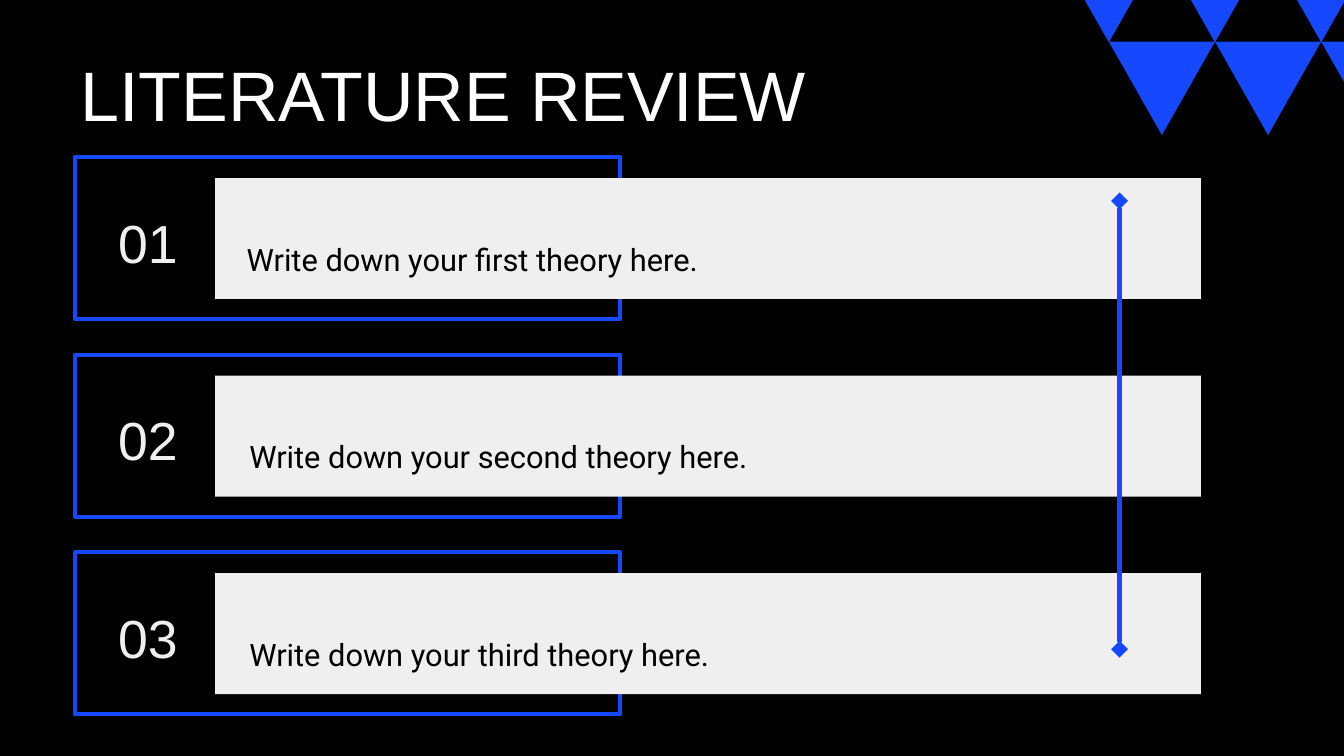
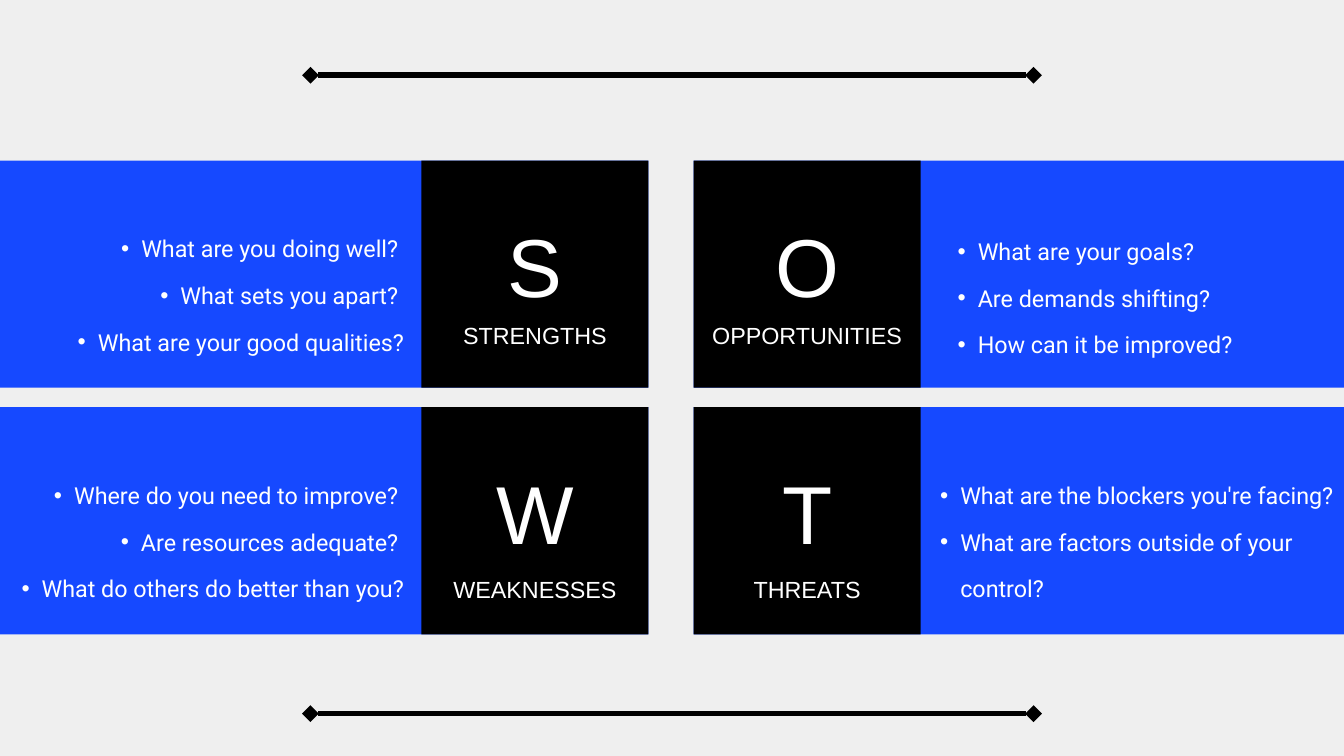
from dataclasses import dataclass
from itertools import product

from lxml.etree import SubElement
from pptx import Presentation
from pptx.dml.color import RGBColor
from pptx.enum.shapes import MSO_CONNECTOR, MSO_SHAPE
from pptx.enum.text import MSO_AUTO_SIZE, PP_ALIGN as Align
from pptx.oxml.ns import qn
from pptx.util import Inches, Pt


@dataclass(frozen=True)
class Theme:
    black: str = "000000"
    white: str = "FFFFFF"
    blue: str = "1649FF"
    pale: str = "EFEFEF"
    display: str = "Arial"
    text: str = "Roboto"
    title: float = 75
    number: float = 57.4
    theory: float = 33
    letter: float = 88
    small: float = 25
    frame: float = 4.5
    rule: float = 6


@dataclass(frozen=True)
class Theory:
    number: str
    text: str
    left: float


@dataclass(frozen=True)
class Quadrant:
    letter: str
    label: str
    questions: tuple[str, ...]
    column: int
    row: int
    label_drop: float
    text_left: float
    text_width: float
    text_drop: float = 0.82


T = Theme()
THEORIES = (
    Theory("01", "Write down your first theory here.", 3.67),
    Theory("02", "Write down your second theory here.", 3.71),
    Theory("03", "Write down your third theory here.", 3.71),
)
QUADRANTS = (
    Quadrant("S", "STRENGTHS",
             ("What are you doing well? ", "What sets you apart? ",
              "What are your good qualities?"), 0, 0, 2.27, 0, 6.01),
    Quadrant("W", "WEAKNESSES",
             ("Where do you need to improve? ", "Are resources adequate? ",
              "What do others do better than you?"), 0, 1, 2.37, -0.14, 6.15),
    Quadrant("O", "OPPORTUNITIES",
             ("What are your goals?", "Are demands shifting?",
              "How can it be improved?"), 1, 0, 2.27, 13.96, 5.48, 0.86),
    Quadrant("T", "THREATS",
             ("What are the blockers you're facing?",
              "What are factors outside of your control?"),
             1, 1, 2.37, 13.7, 6.17),
)


def rgb(color: str) -> RGBColor:
    return RGBColor.from_string(color)


def add_slide(prs, color: str):
    s = prs.slides.add_slide(prs.slide_layouts[6])
    s.background.fill.solid()
    s.background.fill.fore_color.rgb = rgb(color)
    return s


def add_block(s, left: float, top: float, width: float, height: float, *,
              fill: str | None = None, line: str | None = None,
              kind=MSO_SHAPE.RECTANGLE):
    sp = s.shapes.add_shape(kind, Inches(left), Inches(top),
                            Inches(width), Inches(height))
    sp.shadow.inherit = False
    if fill:
        sp.fill.solid()
        sp.fill.fore_color.rgb = rgb(fill)
    else:
        sp.fill.background()
    if line:
        sp.line.color.rgb = rgb(line)
        sp.line.width = Pt(T.frame)
    else:
        sp.line.fill.background()
    return sp


def add_bullet(p, color: str) -> None:
    p.level = 1
    pPr = p._p.get_or_add_pPr()
    pPr.set("marL", str(Inches(0.59)))
    pPr.set("indent", str(-Inches(0.3)))
    SubElement(SubElement(pPr, qn("a:buClr")), qn("a:srgbClr"), val=color)
    SubElement(pPr, qn("a:buFont"), typeface="Arial")
    SubElement(pPr, qn("a:buChar"), char="•")


def add_text(s, lines: tuple[str, ...], left: float, top: float, width: float,
             height: float, *, size: float, color: str = T.white,
             font: str = T.display, align=Align.LEFT, spacing: float = 1.0,
             bullets: bool = False) -> None:
    box = s.shapes.add_textbox(Inches(left), Inches(top),
                               Inches(width), Inches(height))
    tf = box.text_frame
    tf.word_wrap = True
    tf.auto_size = MSO_AUTO_SIZE.SHAPE_TO_FIT_TEXT
    tf.margin_left = tf.margin_right = tf.margin_top = tf.margin_bottom = 0
    for i, line in enumerate(lines):
        p = tf.add_paragraph() if i else tf.paragraphs[0]
        if bullets:
            add_bullet(p, color)
        p.alignment = align
        p.line_spacing = spacing
        r = p.add_run()
        r.text = line
        r.font.size = Pt(size)
        r.font.name = font
        r.font.color.rgb = rgb(color)


def add_diamond_rule(s, x1: float, y1: float, x2: float, y2: float,
                     color: str) -> None:
    rule = s.shapes.add_connector(MSO_CONNECTOR.STRAIGHT, Inches(x1),
                                  Inches(y1), Inches(x2), Inches(y2))
    rule.line.color.rgb = rgb(color)
    rule.line.width = Pt(T.rule)
    ln = rule.line._get_or_add_ln()
    for end in ("a:headEnd", "a:tailEnd"):
        SubElement(ln, qn(end), type="diamond")
    SubElement(rule._element.spPr, qn("a:effectLst"))


def add_triangles(s) -> None:
    width, height = 1.58, 1.39
    for row, column in product(range(2), range(3)):
        left = 15.71 + width * (column + row / 2)
        sp = add_block(s, left, -0.76 + 1.38 * row, width, height,
                       fill=T.blue, kind=MSO_SHAPE.ISOSCELES_TRIANGLE)
        sp.rotation = 180


def add_theory(s, theory: Theory, top: float) -> None:
    add_block(s, 1.12, top, 8.11, 2.41, line=T.blue)
    add_block(s, 3.2, top + 0.31, 14.67, 1.8, fill=T.pale)
    add_text(s, (theory.number,), 1.2, top + 0.98, 2, 0.7, size=T.number,
             color=T.pale, align=Align.CENTER, spacing=0.78)
    add_text(s, (theory.text,), theory.left, top + 1.02, 10.38, 0.56,
             size=T.theory, color=T.black, font=T.text, spacing=1.4)


def add_quadrant(s, q: Quadrant) -> None:
    tile = 3.38
    top = 2.39 + 3.67 * q.row
    panel_left, panel_width = ((0, 9.65), (10.32, 9.68))[q.column]
    tile_left = (6.27, 10.32)[q.column]
    add_block(s, panel_left, top, panel_width, tile, fill=T.blue)
    add_block(s, tile_left, top, tile, tile, fill=T.black)
    add_text(s, (q.letter,), tile_left, top + 0.67, tile, 1.4, size=T.letter,
             align=Align.CENTER, spacing=1.1)
    add_text(s, (q.label,), tile_left, top + q.label_drop, tile, 0.44,
             size=T.small, align=Align.CENTER, spacing=1.3)
    add_text(s, q.questions, q.text_left, top + q.text_drop, q.text_width,
             1.65, size=T.small, font=T.text, spacing=1.67, bullets=True,
             align=Align.LEFT if q.column else Align.RIGHT)


def build_review(prs) -> None:
    s = add_slide(prs, T.black)
    for i, theory in enumerate(THEORIES):
        add_theory(s, theory, 2.34 + 2.94 * i)
    add_text(s, ("LITERATURE REVIEW",), 1.2, 0.9, 13.66, 1.04, size=T.title,
             spacing=0.91)
    add_diamond_rule(s, 16.66, 9.66, 16.66, 2.99, T.blue)
    add_triangles(s)


def build_swot(prs) -> None:
    s = add_slide(prs, T.pale)
    for quadrant in QUADRANTS:
        add_quadrant(s, quadrant)
    for y in (1.12, 10.62):
        add_diamond_rule(s, 15.38, y, 4.62, y, T.black)


def main() -> None:
    prs = Presentation()
    prs.slide_width, prs.slide_height = Inches(20), Inches(11.25)
    build_review(prs)
    build_swot(prs)
    prs.save("out.pptx")


if __name__ == "__main__":
    main()
